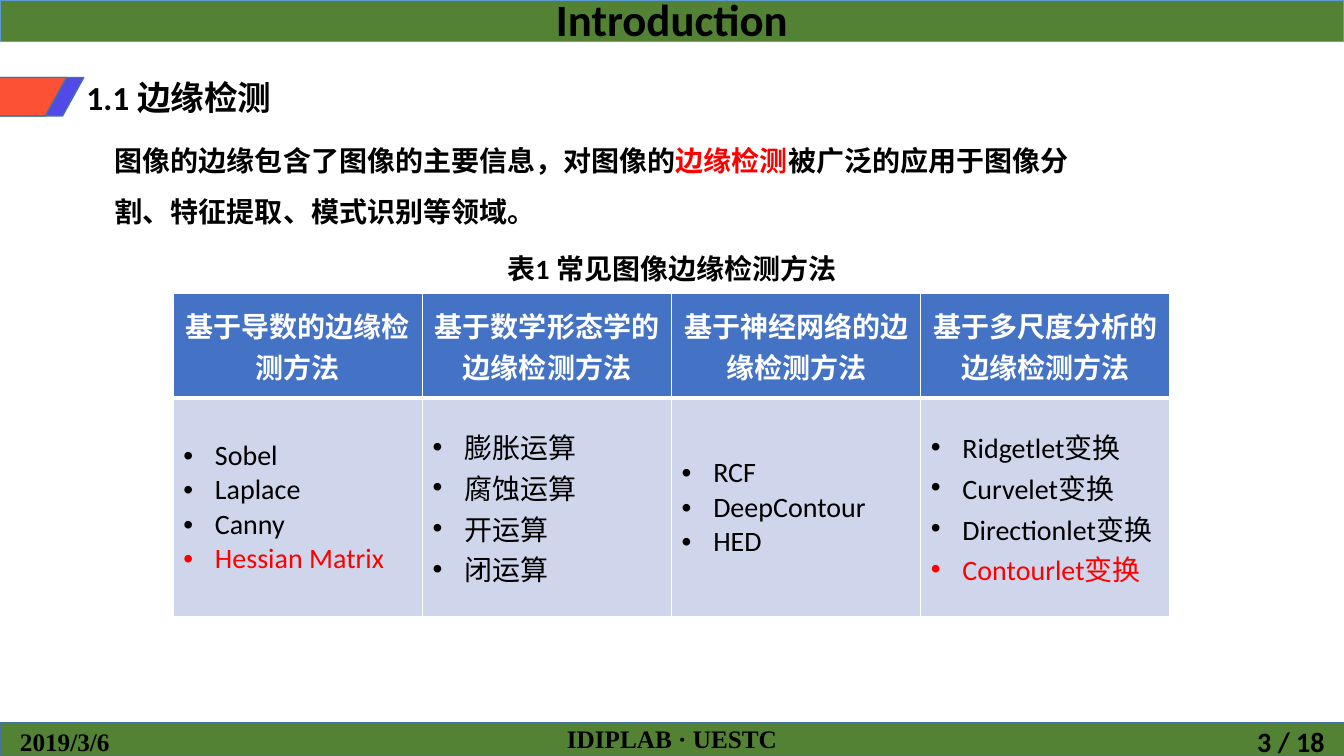
import pptx
import pptx.dml.color
import pptx.enum.shapes
import pptx.enum.text
import pptx.oxml
import pptx.oxml.ns
import pptx.util

Pt = pptx.util.Pt
ALIGN = pptx.enum.text.PP_ALIGN
ANCHOR = pptx.enum.text.MSO_ANCHOR
SHAPE = pptx.enum.shapes.MSO_SHAPE
BLACK, RED, WHITE, GREEN, NAVY = "000000", "FF0000", "FFFFFF", "548235", "43739E"

METHODS = [
    ("基于导数的边缘检测方法", ["Sobel", "Laplace", "Canny", "Hessian Matrix"]),
    ("基于数学形态学的边缘检测方法", ["膨胀运算", "腐蚀运算", "开运算", "闭运算"]),
    ("基于神经网络的边缘检测方法", ["RCF", "DeepContour", "HED"]),
    ("基于多尺度分析的边缘检测方法",
     ["Ridgetlet变换", "Curvelet变换", "Directionlet变换", "Contourlet变换"]),
]
HIGHLIGHTED = {"Hessian Matrix", "Contourlet变换"}


def rgb(value):
    """Turn a hex string into a colour."""
    return pptx.dml.color.RGBColor.from_string(value)


def write(p, text, size=20, color=BLACK, bold=True, font="Calibri", align=ALIGN.LEFT):
    """Add a formatted run to a paragraph."""
    p.alignment = align
    r = p.add_run()
    r.text = text
    r.font.size, r.font.bold, r.font.name = Pt(size), bold, font
    r.font.color.rgb = rgb(color)


def set_frame(sp, box, anchor):
    """Place a text shape and return its first paragraph."""
    sp.left, sp.top, sp.width, sp.height = map(Pt, box)
    tf = sp.text_frame
    tf.word_wrap = True
    tf.auto_size = pptx.enum.text.MSO_AUTO_SIZE.NONE
    tf.vertical_anchor = anchor
    return tf.paragraphs[0]


def add_text(s, box, text, anchor=ANCHOR.TOP, **fmt):
    """Add a text box and return its paragraph."""
    p = set_frame(s.shapes.add_textbox(0, 0, 0, 0), box, anchor)
    write(p, text, **fmt)
    return p


def add_block(s, kind, box, fill, line):
    """Add a filled and outlined preset shape."""
    sp = s.shapes.add_shape(kind, *map(Pt, box))
    sp.shadow.inherit = False
    sp.fill.solid()
    sp.fill.fore_color.rgb = rgb(fill)
    sp.line.color.rgb = rgb(line)
    sp.line.width = Pt(1)
    return sp


def add_bullet(p):
    """Give a paragraph a hanging bullet."""
    pPr = p._p.get_or_add_pPr()
    indent = Pt(22.5)
    pPr.set("marL", str(indent))
    pPr.set("indent", str(-indent))
    ns = pptx.oxml.ns.nsdecls("a")
    pPr.append(pptx.oxml.parse_xml(f'<a:buFont {ns} typeface="Arial"/>'))
    pPr.append(pptx.oxml.parse_xml(f'<a:buChar {ns} char="•"/>'))


def style_cell(cell, fill, top, bottom):
    """Set the white borders, fill and anchor of a table cell."""
    tcPr = cell._tc.get_or_add_tcPr()
    ns = pptx.oxml.ns.nsdecls("a")
    for side, width in (("L", 1), ("R", 1), ("T", top), ("B", bottom)):
        tcPr.append(pptx.oxml.parse_xml(
            f'<a:ln{side} {ns} w="{Pt(width)}"><a:solidFill>'
            f'<a:srgbClr val="{WHITE}"/></a:solidFill></a:ln{side}>'))
    cell.fill.solid()
    cell.fill.fore_color.rgb = rgb(fill)
    cell.vertical_anchor = ANCHOR.MIDDLE


def add_methods_table(s):
    """Add the table of edge detection methods."""
    box = map(Pt, (123.8, 209.5, 712, 231))
    table = s.shapes.add_table(2, len(METHODS), *box).table
    table.rows[0].height, table.rows[1].height = Pt(75), Pt(156)
    for col, (heading, names) in enumerate(METHODS):
        table.columns[col].width = Pt(178)
        head, body = table.cell(0, col), table.cell(1, col)
        style_cell(head, "4472C4", 1, 3)
        style_cell(body, "CFD5EA", 3, 1)
        write(head.text_frame.paragraphs[0], heading, color=WHITE, align=ALIGN.CENTER)
        tf = body.text_frame
        for i, name in enumerate(names):
            p = tf.add_paragraph() if i else tf.paragraphs[0]
            write(p, name, color=RED if name in HIGHLIGHTED else BLACK, bold=False)
            add_bullet(p)


def main():
    """Build the slide and save it."""
    prs = pptx.Presentation()
    prs.slide_width, prs.slide_height = Pt(960), Pt(540)
    s = prs.slides.add_slide(prs.slide_layouts[5])

    title = s.shapes.title
    p = set_frame(title, (350, -9.4, 260, 46), ANCHOR.TOP)
    write(p, "Introduction", size=32, align=ALIGN.CENTER)
    for box, line in (((0, 516, 960, 24), NAVY), ((0, 0, 960, 29.5), "5B9BD5")):
        bar = add_block(s, SHAPE.RECTANGLE, box, GREEN, line)
        title.element.addprevious(bar.element)

    for left, fill in ((-15.8, "514AE6"), (-28.1, "FC5134")):
        add_block(s, SHAPE.FLOWCHART_DATA, (left, 55.4, 75.6, 27.4), fill, NAVY)
    add_text(s, (54.7, 51.1, 305, 36), "1.1 边缘检测", size=24)

    p = add_text(s, (74.9, 87.1, 696, 80), "图像的边缘包含了图像的主要信息，对图像的")
    p.line_spacing = 1.5
    write(p, "边缘检测", color=RED)
    write(p, "被广泛的应用于图像分割、特征提取、模式识别等领域。")

    add_text(s, (280, 176.4, 400, 31.7), "表1 常见图像边缘检测方法", align=ALIGN.CENTER)
    add_methods_table(s)

    footer = dict(anchor=ANCHOR.MIDDLE, size=18, font="Times New Roman")
    add_text(s, (7.2, 516.2, 216, 26.6), "2019/3/6", **footer)
    add_text(s, (318, 513.4, 324, 28.8), "IDIPLAB · UESTC", align=ALIGN.CENTER, **footer)
    add_text(s, (737.3, 517, 216, 24.5), "3 / 18", anchor=ANCHOR.MIDDLE, align=ALIGN.RIGHT)
    prs.save("out.pptx")


if __name__ == "__main__":
    main()
